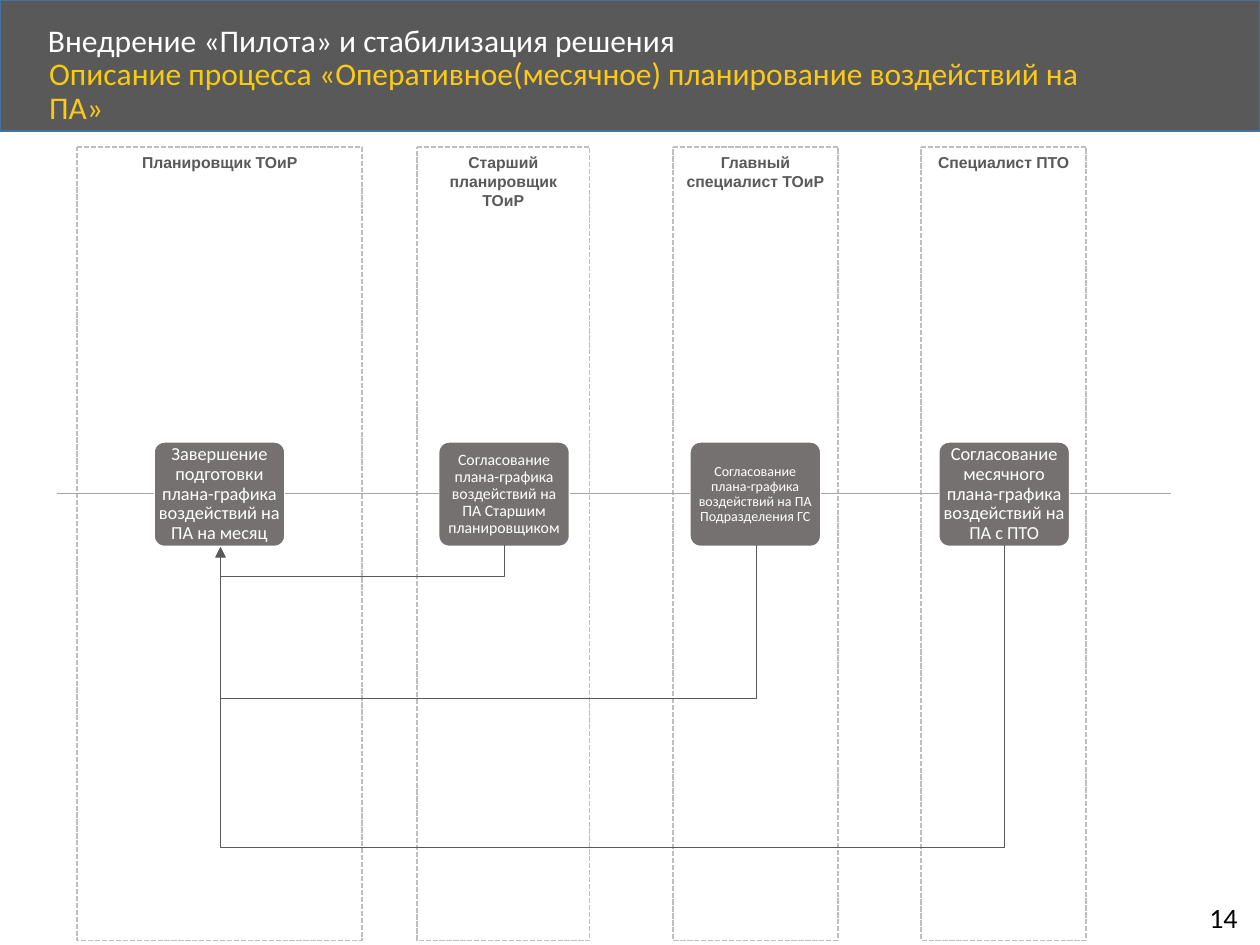
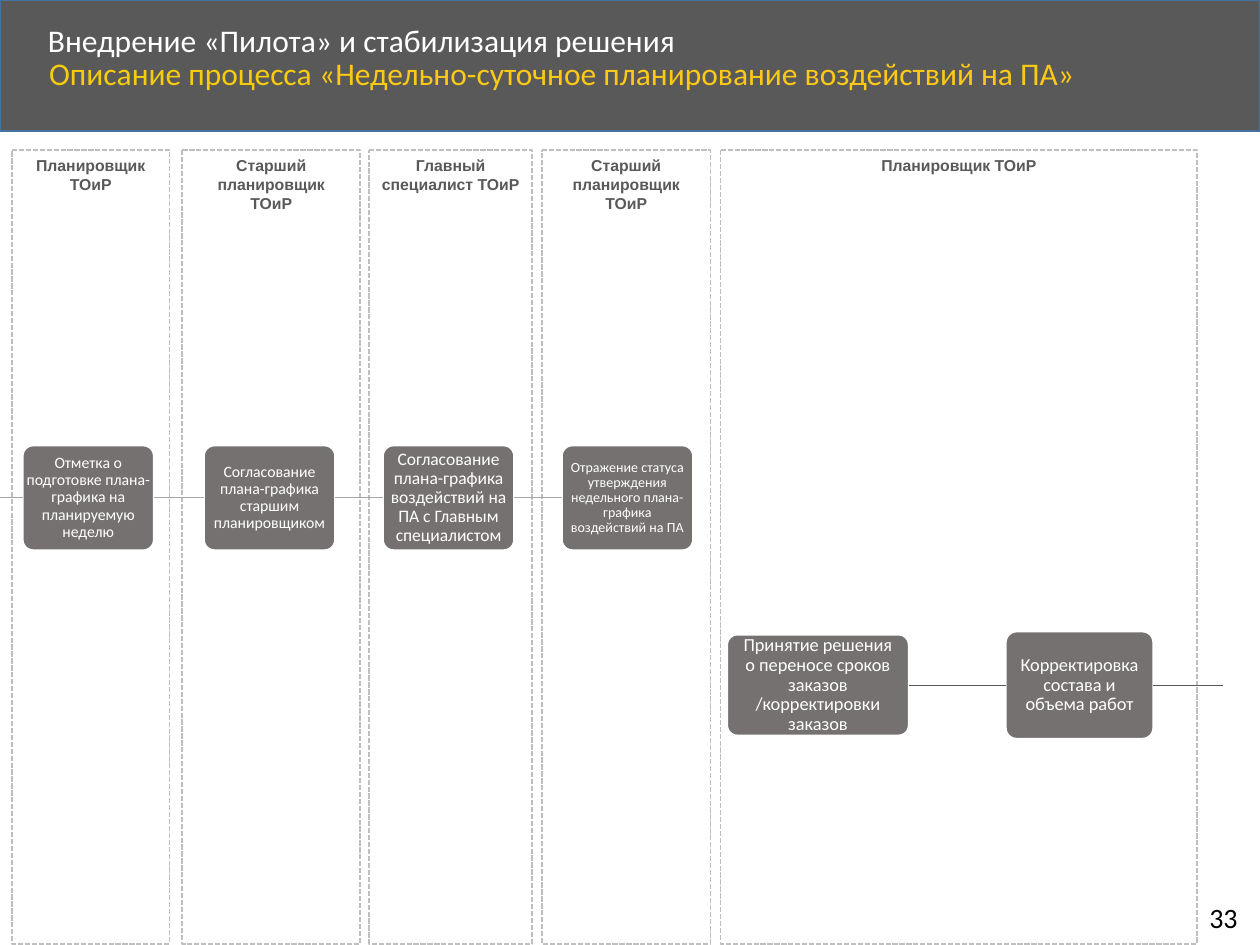
from pptx import Presentation
from pptx.dml.color import RGBColor
from pptx.enum.dml import MSO_LINE
from pptx.enum.shapes import MSO_CONNECTOR as CONN, MSO_SHAPE as SHAPE
from pptx.enum.text import MSO_ANCHOR as ANCHOR, MSO_AUTO_SIZE as AUTO, PP_ALIGN as ALIGN
from pptx.oxml.ns import qn
from pptx.util import Pt
from lxml import etree

WHITE = RGBColor(0xFF, 0xFF, 0xFF)
BLACK = RGBColor(0, 0, 0)
DARK = RGBColor(0x59, 0x59, 0x59)
BAND_EDGE = RGBColor(0x43, 0x73, 0x9E)
GOLD = RGBColor(0xF6, 0xCC, 0x0C)
AMBER = RGBColor(0xFC, 0xC9, 0x17)
LANE_EDGE = RGBColor(0xBF, 0xBF, 0xBF)
STEP_FILL = RGBColor(0x76, 0x71, 0x71)
FLOW = RGBColor(0xA6, 0xA6, 0xA6)

SECTION = "Внедрение «Пилота» и стабилизация решения"
LANE_H = 453.6
STEP_W, STEP_H = 74.9, 59.8


# Text and shape helpers
def style(run, size, color, font="Calibri", bold=False):
    f = run.font
    f.size, f.name, f.bold = Pt(size), font, bold
    f.color.rgb = color


def place(sp, left, top, width, height):
    sp.left, sp.top, sp.width, sp.height = Pt(left), Pt(top), Pt(width), Pt(height)


def add_box(slide, kind, left, top, width, height, fill, edge):
    sp = slide.shapes.add_shape(kind, Pt(left), Pt(top), Pt(width), Pt(height))
    sp.shadow.inherit = False
    if fill is None:
        sp.fill.background()
    else:
        sp.fill.solid()
        sp.fill.fore_color.rgb = fill
    sp.line.color.rgb = edge
    sp.line.width = Pt(1)
    return sp


def write(sp, text, size, color, font="Calibri", bold=False):
    tf = sp.text_frame
    tf.word_wrap = True
    tf.text = text
    p = tf.paragraphs[0]
    p.alignment = ALIGN.CENTER
    style(p.runs[0], size, color, font, bold)
    return p


# Shared frame: band on the layout, headings and page number
def prepare_layout(layout, slide):
    band = add_box(slide, SHAPE.RECTANGLE, 0, 0, 720, 74.9, DARK, BAND_EDGE)
    title, body = layout.placeholders[0], layout.placeholders[1]
    title.element.getparent().insert(2, band.element)
    place(title, 20.2, 10.4, 581, 27.4)
    place(body, 20.9, 29.5, 624.2, 32.4)


def add_headings(slide, process, number):
    title, body = slide.shapes.title, slide.placeholders[1]
    title.text_frame.text = SECTION
    style(title.text_frame.paragraphs[0].runs[0], 18, WHITE)

    p = body.text_frame.paragraphs[0]
    pPr = p._p.get_or_add_pPr()
    pPr.set("marL", "0")
    pPr.set("indent", "0")
    etree.SubElement(pPr, qn("a:buNone"))
    for text, color in (("Описание процесса ", GOLD), (process, AMBER)):
        r = p.add_run()
        r.text = text
        style(r, 18, color)

    for sp, anchor in ((title, ANCHOR.MIDDLE), (body, ANCHOR.TOP)):
        tf = sp.text_frame
        tf.auto_size, tf.vertical_anchor = AUTO.NONE, anchor
        heading = tf.paragraphs[0]
        heading.alignment, heading.line_spacing = ALIGN.LEFT, 0.9
        heading.space_before = Pt(0)

    page = slide.shapes.add_textbox(Pt(684), Pt(511.2), Pt(33.1), Pt(26.6))
    page.text_frame.text = number
    style(page.text_frame.paragraphs[0].runs[0], 16, BLACK)


# Process diagram
def add_lanes(slide, top, lanes):
    for role, left, width in lanes:
        sp = add_box(slide, SHAPE.ROUNDED_RECTANGLE, left, top, width, LANE_H, None, LANE_EDGE)
        sp.adjustments[0] = 0
        sp.line.dash_style = MSO_LINE.SQUARE_DOT
        sp.text_frame.vertical_anchor = ANCHOR.TOP
        write(sp, role, 9, DARK, "Arial", True)


def add_step(slide, text, size, left, top, width=STEP_W, height=STEP_H, inset=0.5):
    # The rounded corners already hold the text in by a little under 2 pt
    sp = add_box(slide, SHAPE.ROUNDED_RECTANGLE, left, top, width, height, STEP_FILL, WHITE)
    sp.adjustments[0] = 0.1
    tf = sp.text_frame
    tf.vertical_anchor = ANCHOR.MIDDLE
    tf.margin_left = tf.margin_right = Pt(inset)
    tf.margin_top = tf.margin_bottom = Pt(0.5)
    write(sp, text, size, WHITE).line_spacing = 0.9
    return sp


def add_line(slide, kind, x1, y1, x2, y2, color):
    line = slide.shapes.add_connector(kind, Pt(x1), Pt(y1), Pt(x2), Pt(y2))
    line.line.color.rgb = color
    line.line.width = Pt(0.5)
    etree.SubElement(line.element.spPr, qn("a:effectLst"))
    return line


def add_flow(slide, steps, y, color, start=None, end=None):
    """Join the steps in order, with optional lead-in and lead-out lines."""
    exits = [start] + [s.left.pt + s.width.pt for s in steps]
    entries = [s.left.pt for s in steps] + [end]
    for x1, x2 in zip(exits, entries):
        if x1 is not None and x2 is not None:
            add_line(slide, CONN.STRAIGHT, x1, y, x2, y, color)


def add_return(slide, x_from, x_to, y, drop):
    """U-shaped arrow: a quarter-turned elbow, one point wide, that bends `drop` below y."""
    line = add_line(slide, CONN.ELBOW, x_from, y, x_to, y, DARK)
    span = x_from - x_to
    place(line, (x_from + x_to - 1) / 2, y + 0.5 - span / 2, 1, span)
    xfrm = line.element.spPr.find(qn("a:xfrm"))
    xfrm.attrib.pop("flipH", None)
    xfrm.set("rot", "5400000")
    guides = line.element.spPr.find(qn("a:prstGeom")).find(qn("a:avLst"))
    etree.SubElement(guides, qn("a:gd"), name="adj1", fmla=f"val {round(drop * 100000)}")
    ln = line.element.spPr.find(qn("a:ln"))
    etree.SubElement(ln, qn("a:tailEnd"), type="triangle")


def build_monthly(slide):
    add_headings(slide, "«Оперативное(месячное) планирование воздействий на ПА»", "14")
    add_lanes(slide, 83.9, [
        ("Планировщик ТОиР", 44.2, 162.7),
        ("Старший планировщик ТОиР", 238.3, 98.6),
        ("Главный специалист ТОиР", 384.5, 94.3),
        ("Специалист ПТО", 526.3, 94.3),
    ])
    steps = [add_step(slide, text, size, left, 252.5) for text, size, left in (
        ("Завершение подготовки плана-графика воздействий на ПА на месяц", 10.5, 88),
        ("Согласование плана-графика воздействий на ПА Старшим планировщиком", 9, 250.6),
        ("Согласование плана-графика воздействий на ПА Подразделения ГС", 8, 394.2),
        ("Согласование месячного плана-графика воздействий на ПА с ПТО", 10.5, 536.4),
    )]
    add_flow(slide, steps, 282.2, FLOW, 32.4, 668.9)
    for x, drop in ((288.3, 17.9), (432, 88.4), (574, 174.3)):
        add_return(slide, x, 126, 311.6, drop)


def build_weekly(slide):
    add_headings(slide, "«Недельно-суточное планирование воздействий на ПА»", "33")
    add_lanes(slide, 85.7, [
        ("Планировщик ТОиР", 6.8, 90),
        ("Старший планировщик ТОиР", 104.2, 101.5),
        ("Главный специалист ТОиР", 211, 92.9),
        ("Старший планировщик ТОиР", 309.6, 96.5),
        ("Планировщик ТОиР", 411.8, 272.2),
    ])
    approvals = [add_step(slide, text, size, left, 254.6) for text, size, left in (
        ("Отметка о подготовке плана-графика на планируемую неделю", 9, 13),
        ("Согласование плана-графика старшим планировщиком", 9, 116.6),
        ("Согласование плана-графика воздействий на ПА с Главным специалистом", 10, 218.9),
        ("Отражение статуса утверждения недельного плана-графика воздействий на ПА", 8, 321.1),
    )]
    add_flow(slide, approvals, 284.4, FLOW, start=0)
    corrections = [
        add_step(slide, "Принятие решения о переносе сроков заказов /корректировки заказов",
                 10.5, 415.6, 362.7, 103.7, 57.6, 5.1),
        add_step(slide, "Корректировка состава и объема работ",
                 10.5, 574.8, 360.9, 84.2, 61.2, 4),
    ]
    add_flow(slide, corrections, 391.7, DARK, end=699.1)


def main():
    prs = Presentation()
    prs.slide_width, prs.slide_height = Pt(720), Pt(540)
    layout = prs.slide_layouts[1]
    monthly, weekly = (prs.slides.add_slide(layout) for _ in range(2))
    prepare_layout(layout, monthly)
    build_monthly(monthly)
    build_weekly(weekly)
    prs.save("out.pptx")


if __name__ == "__main__":
    main()
